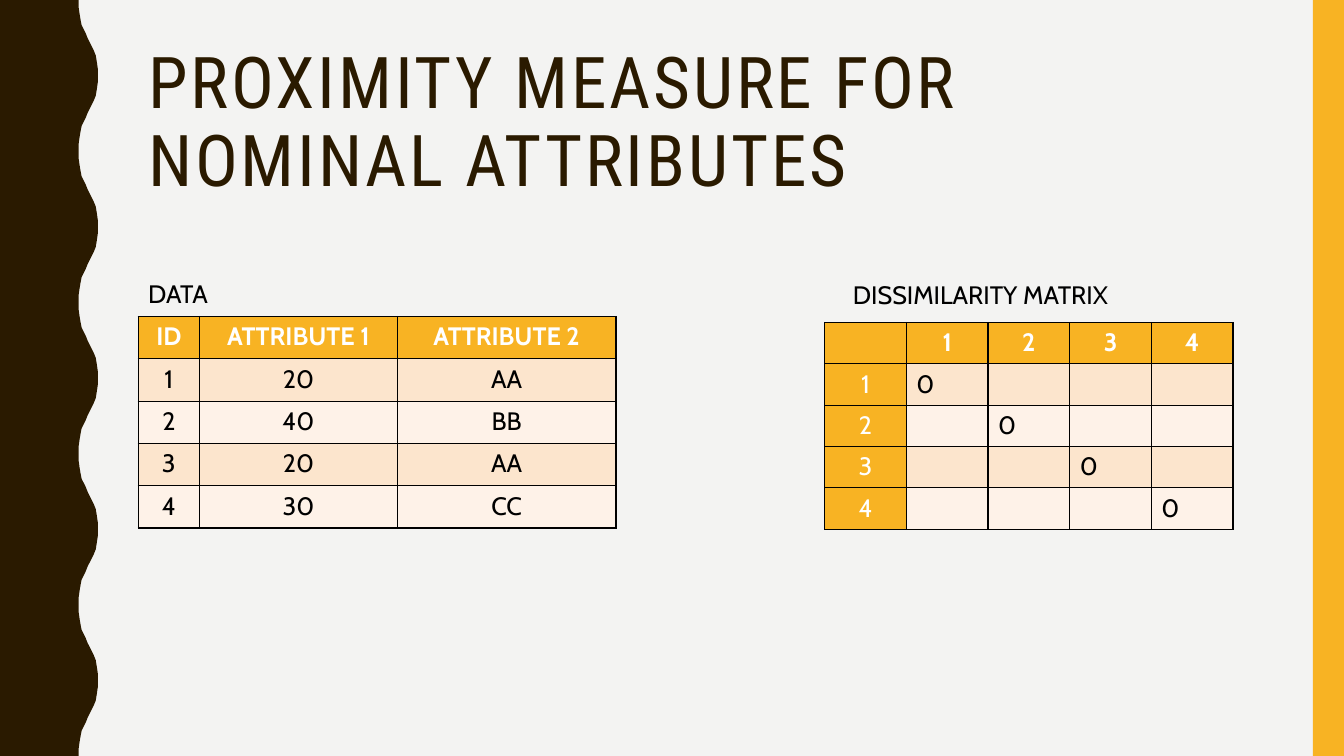
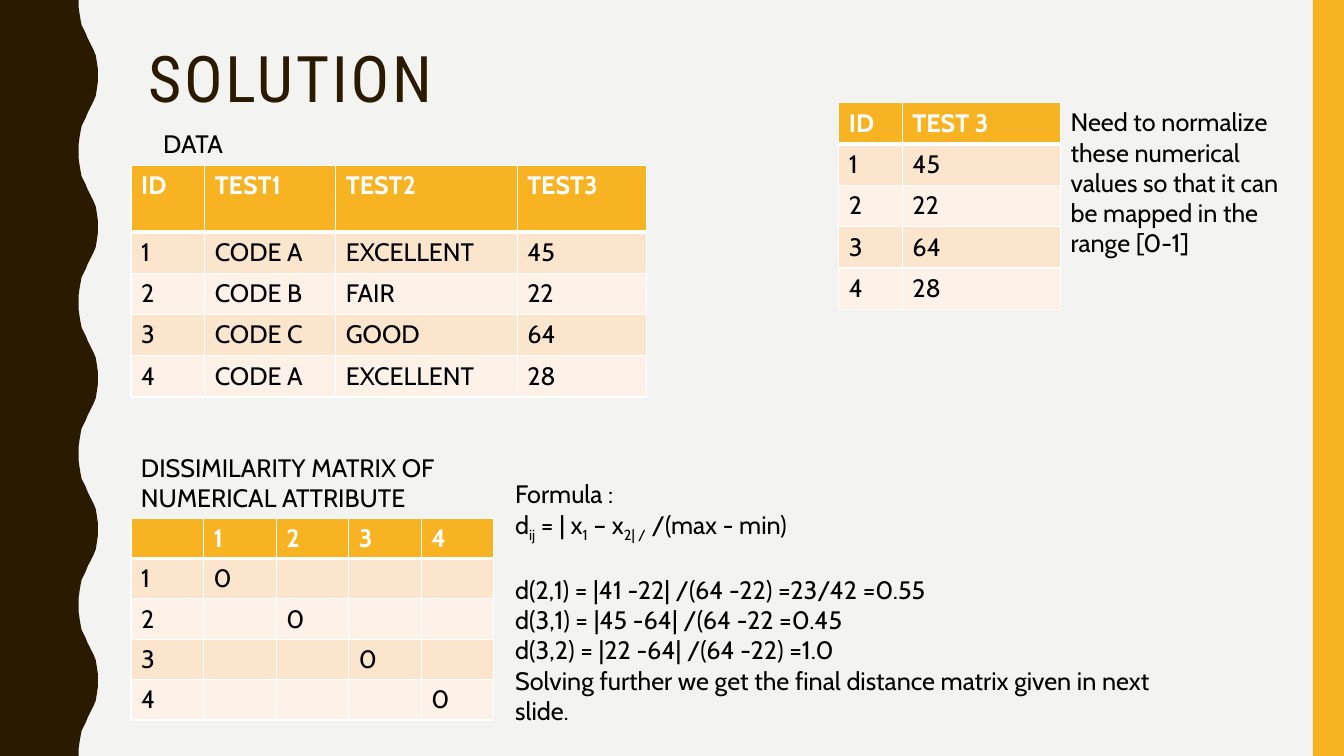
"""Build two slides on proximity measures for nominal and numerical attributes."""
from lxml import etree
from pptx import Presentation
from pptx.dml.color import RGBColor
from pptx.enum.shapes import MSO_SHAPE
from pptx.enum.text import PP_ALIGN
from pptx.oxml.ns import qn
from pptx.util import Inches, Pt

RECTANGLE = MSO_SHAPE.RECTANGLE
LEFT, CENTER = PP_ALIGN.LEFT, PP_ALIGN.CENTER

PAPER = RGBColor(0xF3, 0xF3, 0xF2)
BROWN = RGBColor(0x2A, 0x1A, 0x00)
AMBER = RGBColor(0xF8, 0xB3, 0x23)
PEACH = RGBColor(0xFC, 0xE5, 0xCD)
CREAM = RGBColor(0xFE, 0xF2, 0xE8)
BLACK = RGBColor(0x00, 0x00, 0x00)
WHITE = RGBColor(0xFF, 0xFF, 0xFF)

TITLE_FONT, BODY_FONT = "Roboto Condensed", "Cabin"
WIDTH, HEIGHT = 13.33, 7.5
STRIPE_WIDTH = 0.31
HALF_WAVE = 0.75
CREST = [(0.78, 0), (0.78, 0.07), (0.79, 0.14), (0.8, 0.2), (0.81, 0.25),
         (0.83, 0.29), (0.85, 0.33), (0.87, 0.38), (0.89, 0.42), (0.91, 0.46),
         (0.93, 0.5), (0.95, 0.55), (0.96, 0.61), (0.97, 0.68), (0.97, 0.75)]


def matrix_rows(labels):
    body = [[row] + ["0" if row == column else "" for column in labels]
            for row in labels]
    return [["", *labels]] + body


MATRIX = matrix_rows(["1", "2", "3", "4"])

FORMULA = ["Formula :",
           ("d", "ij", " = | x", "1", " – x", "2| /", " /(max - min)")]
STEPS = ["d(2,1) = |41 -22| /(64 -22) =23/42 =0.55",
         "d(3,1) = |45 -64| /(64 -22 =0.45",
         "d(3,2) = |22 -64| /(64 -22) =1.0",
         "Solving further we get the final distance matrix given in next slide."]

BOXED = {"line": BLACK, "header_rule": 1, "align": CENTER}
SLIDES = [
    {"title": ("PROXIMITY MEASURE FOR NOMINAL ATTRIBUTES", 51, 1.63),
     "labels": [
         ((1.37, 2.71, 3.68, 0.4), ["DATA"], {}),
         ((8.36, 2.72, 3.68, 0.4), ["DISSIMILARITY MATRIX"], {})],
     "tables": [
         ((1.37, 3.14), [0.61, 1.96, 2.17], [0.42] * 5,
          [["ID", "ATTRIBUTE 1", "ATTRIBUTE 2"], ["1", "20", "AA"],
           ["2", "40", "BB"], ["3", "20", "AA"], ["4", "30", "CC"]],
          {**BOXED, "body_align": CENTER}),
         ((8.18, 3.2), [0.81] * 5, [0.41] * 5, MATRIX,
          {**BOXED, "side_header": True})]},
    {"title": ("SOLUTION", 45.9, 0.82),
     "labels": [
         ((1.52, 1.22, 0.83, 0.4), ["DATA"], {}),
         ((10.52, 1.01, 2.58, 1.62),
          ["Need to normalize these numerical values so that it can be "
           "mapped in the range [0-1]"], {}),
         ((1.3, 4.44, 3.58, 0.71),
          ["DISSIMILARITY MATRIX OF NUMERICAL ATTRIBUTE"], {}),
         ((5.11, 4.75, 6.67, 2.63), FORMULA + STEPS,
          {"inset": False, "gap_before": len(FORMULA)})],
     "tables": [
         ((8.32, 1.02), [0.63, 1.57], [0.41] * 5,
          [["ID", "TEST 3"], ["1", "45"], ["2", "22"], ["3", "64"],
           ["4", "28"]], {}),
         ((1.3, 1.64), [0.73, 1.3, 1.8, 1.28], [0.66] + [0.41] * 4,
          [["ID", "TEST1", "TEST2", "TEST3"],
           ["1", "CODE A", "EXCELLENT", "45"], ["2", "CODE B", "FAIR", "22"],
           ["3", "CODE C", "GOOD", "64"],
           ["4", "CODE A", "EXCELLENT", "28"]], {}),
         ((1.3, 5.14), [0.72] * 5, [0.4] * 5, MATRIX, {})]},
]


def write(frame, paragraphs, size=18, font=BODY_FONT, color=BLACK, bold=False,
          align=LEFT, tracking=0, line_spacing=None, gap_before=None):
    """Write paragraphs; in a tuple every second part is a subscript."""
    for index, parts in enumerate(paragraphs):
        para = frame.paragraphs[0] if index == 0 else frame.add_paragraph()
        para.alignment = align
        para.line_spacing = line_spacing
        if index == gap_before:
            para.space_before = Pt(22)
        for position, text in enumerate([parts] if isinstance(parts, str) else parts):
            span = para.add_run()
            span.text = text
            span.font.size = Pt(size)
            span.font.name = font
            span.font.bold = bold
            span.font.color.rgb = color
            properties = span.font._element
            if tracking:
                properties.set("spc", str(tracking * 100))
            if position % 2:
                properties.set("baseline", "-25000")


def add_text(page, place, paragraphs, inset=True, **style):
    frame = page.shapes.add_textbox(*map(Inches, place)).text_frame
    frame.word_wrap = True
    if not inset:
        frame.margin_left = frame.margin_right = 0
        frame.margin_top = frame.margin_bottom = 0
    write(frame, paragraphs, **style)


def paint(shape, color):
    shape.shadow.inherit = False
    shape.fill.solid()
    shape.fill.fore_color.rgb = color
    shape.line.fill.background()


def add_bands(page):
    points = []
    for half in range(round(HEIGHT / HALF_WAVE)):
        falling = half % 2
        for x, y in reversed(CREST) if falling else CREST:
            offset = HALF_WAVE - y if falling else y
            points.append((Inches(x), Inches(half * HALF_WAVE + offset)))
    builder = page.shapes.build_freeform(0, 0)
    builder.add_line_segments(points + [(0, Inches(HEIGHT))], close=True)
    paint(builder.convert_to_shape(), BROWN)
    stripe = page.shapes.add_shape(
        RECTANGLE, Inches(WIDTH - STRIPE_WIDTH), 0,
        Inches(STRIPE_WIDTH), Inches(HEIGHT))
    paint(stripe, AMBER)


def set_borders(cell, color, widths):
    properties = cell._tc.get_or_add_tcPr()
    for index, (side, width) in enumerate(zip("LRTB", widths)):
        line = etree.Element(qn(f"a:ln{side}"), w=str(Pt(width)))
        fill = etree.SubElement(line, qn("a:solidFill"))
        etree.SubElement(fill, qn("a:srgbClr"), val=str(color))
        properties.insert(index, line)


def add_grid(page, corner, columns, heights, rows, line=WHITE, header_rule=3,
             align=LEFT, body_align=LEFT, side_header=False):
    size = sum(columns), sum(heights)
    table = page.shapes.add_table(
        len(rows), len(columns), *map(Inches, corner + size)).table
    table.horz_banding = False
    for column, width in zip(table.columns, columns):
        column.width = Inches(width)
    for row, height in zip(table.rows, heights):
        row.height = Inches(height)
    for r, row in enumerate(rows):
        for c, text in enumerate(row):
            cell = table.cell(r, c)
            heading = r == 0 or (side_header and c == 0)
            cell.fill.solid()
            cell.fill.fore_color.rgb = AMBER if heading else (CREAM, PEACH)[r % 2]
            set_borders(cell, line, (1, 1, header_rule if r == 1 else 1,
                                     header_rule if r == 0 else 1))
            if text:
                write(cell.text_frame, [text], bold=r == 0,
                      color=WHITE if heading else BLACK,
                      align=align if heading else body_align)


def main():
    deck = Presentation()
    deck.slide_width, deck.slide_height = Inches(WIDTH), Inches(HEIGHT)
    background = deck.slide_master.background.fill
    background.solid()
    background.fore_color.rgb = PAPER
    for content in SLIDES:
        page = deck.slides.add_slide(deck.slide_layouts[6])
        add_bands(page)
        title, size, height = content["title"]
        add_text(page, (1.37, 0.42, 11.13, height), [title], size=size,
                 font=TITLE_FONT, color=BROWN, tracking=2, line_spacing=0.9)
        for corner, columns, heights, rows, style in content["tables"]:
            add_grid(page, corner, columns, heights, rows, **style)
        for place, paragraphs, style in content["labels"]:
            add_text(page, place, paragraphs, **style)
    deck.save("out.pptx")


if __name__ == "__main__":
    main()
